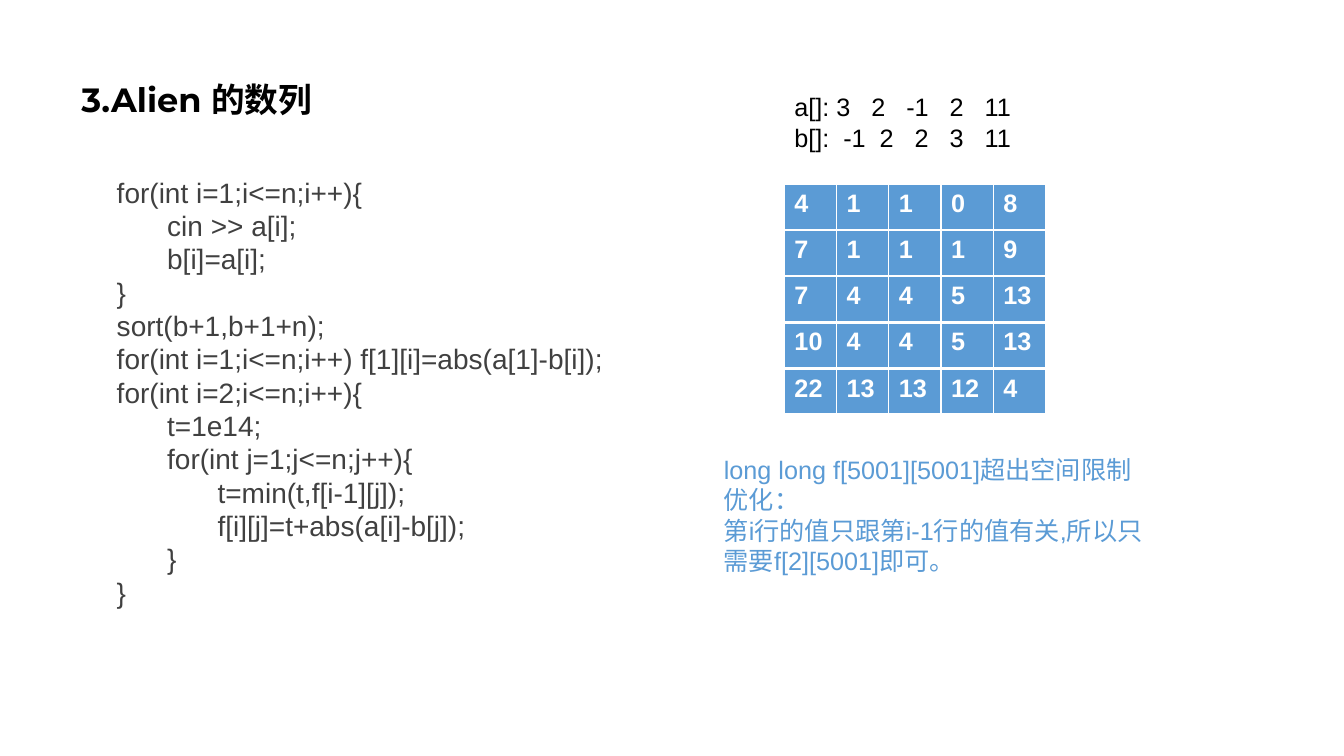
from lxml.etree import SubElement
from pptx import Presentation
from pptx.dml.color import RGBColor
from pptx.enum.text import MSO_ANCHOR as Anchor
from pptx.oxml.ns import qn
from pptx.util import Inches, Pt

BLACK, GREY, BLUE, WHITE = "000000", "404040", "5B9BD5", "FFFFFF"

CODE = """\
for(int i=1;i<=n;i++){
\tcin >> a[i];
\tb[i]=a[i];
}
sort(b+1,b+1+n);
for(int i=1;i<=n;i++) f[1][i]=abs(a[1]-b[i]);
for(int i=2;i<=n;i++){
\tt=1e14;
\tfor(int j=1;j<=n;j++){
\t\tt=min(t,f[i-1][j]);
\t\tf[i][j]=t+abs(a[i]-b[j]);
\t}
}""".split("\n")

ARRAYS = ["a[]: 3   2   -1   2   11", "b[]:  -1  2   2   3   11"]

COSTS = [
    [4, 1, 1, 0, 8],
    [7, 1, 1, 1, 9],
    [7, 4, 4, 5, 13],
    [10, 4, 4, 5, 13],
    [22, 13, 13, 12, 4],
]

NOTE = [
    "long long f[5001][5001]超出空间限制",
    "优化：",
    "第i行的值只跟第i-1行的值有关,所以只需要f[2][5001]即可。",
]


def rgb(value):
    return RGBColor.from_string(value)


def add_run(paragraph, text, size, color, font="Arial", bold=False):
    run = paragraph.add_run()
    run.text = text
    run.font.name = font
    run.font.size = Pt(size)
    run.font.bold = bold
    run.font.color.rgb = rgb(color)


def add_text(slide, box, lines, size, color, **style):
    """Put one paragraph per line in a wrapping text box; return its frame."""
    frame = slide.shapes.add_textbox(*map(Inches, box)).text_frame
    frame.word_wrap = True
    for index, line in enumerate(lines):
        paragraph = frame.paragraphs[0] if index == 0 else frame.add_paragraph()
        add_run(paragraph, line, size, color, **style)
    return frame


def add_title(slide, box):
    frame = add_text(slide, box, ["3.Alien 的数列"], 24, BLACK,
                     font="Montserrat", bold=True)
    frame.vertical_anchor = Anchor.MIDDLE
    frame.paragraphs[0].line_spacing = 0.9


def add_code(slide, box):
    # The whole listing sits one tab stop in
    frame = add_text(slide, box, ["\t" + line for line in CODE], 20, GREY)
    for paragraph in frame.paragraphs:
        paragraph.line_spacing = Pt(13.8)
        paragraph.space_before = Pt(10)


def add_border(cell, side, width):
    line = SubElement(cell._tc.get_or_add_tcPr(), qn(f"a:ln{side}"), w=str(Pt(width)))
    fill = SubElement(line, qn("a:solidFill"))
    SubElement(fill, qn("a:srgbClr"), val=WHITE)


def add_cost_rows(slide, box):
    """Stack one single-row table per step of the recurrence."""
    left, top, width, height = box
    row_height = height / len(COSTS)
    for index, values in enumerate(COSTS):
        row_box = (left, top + index * row_height, width, row_height)
        table = slide.shapes.add_table(1, len(values), *map(Inches, row_box)).table
        for cell, value in zip(table.rows[0].cells, values):
            for side, border in zip("LRTB", (1, 1, 1, 3)):
                add_border(cell, side, border)
            cell.fill.solid()
            cell.fill.fore_color.rgb = rgb(BLUE)
            add_run(cell.text_frame.paragraphs[0], str(value), 18, WHITE, bold=True)


def build_slide(presentation):
    slide = presentation.slides.add_slide(presentation.slide_layouts[6])
    # Left: heading and program
    add_title(slide, (0.71, 0.28, 11.5, 1.45))
    add_code(slide, (0.56, 1.83, 6.4, 4.76))
    # Right: sample arrays, cost rows and memory note
    add_text(slide, (7.78, 0.86, 2.68, 0.71), ARRAYS, 18, BLACK)
    add_cost_rows(slide, (7.78, 1.83, 2.59, 2.29))
    add_text(slide, (7.08, 4.46, 4.59, 1.31), NOTE, 18, BLUE)


presentation = Presentation()
presentation.slide_width = Inches(13.33)
presentation.slide_height = Inches(7.5)
build_slide(presentation)
presentation.save("out.pptx")
